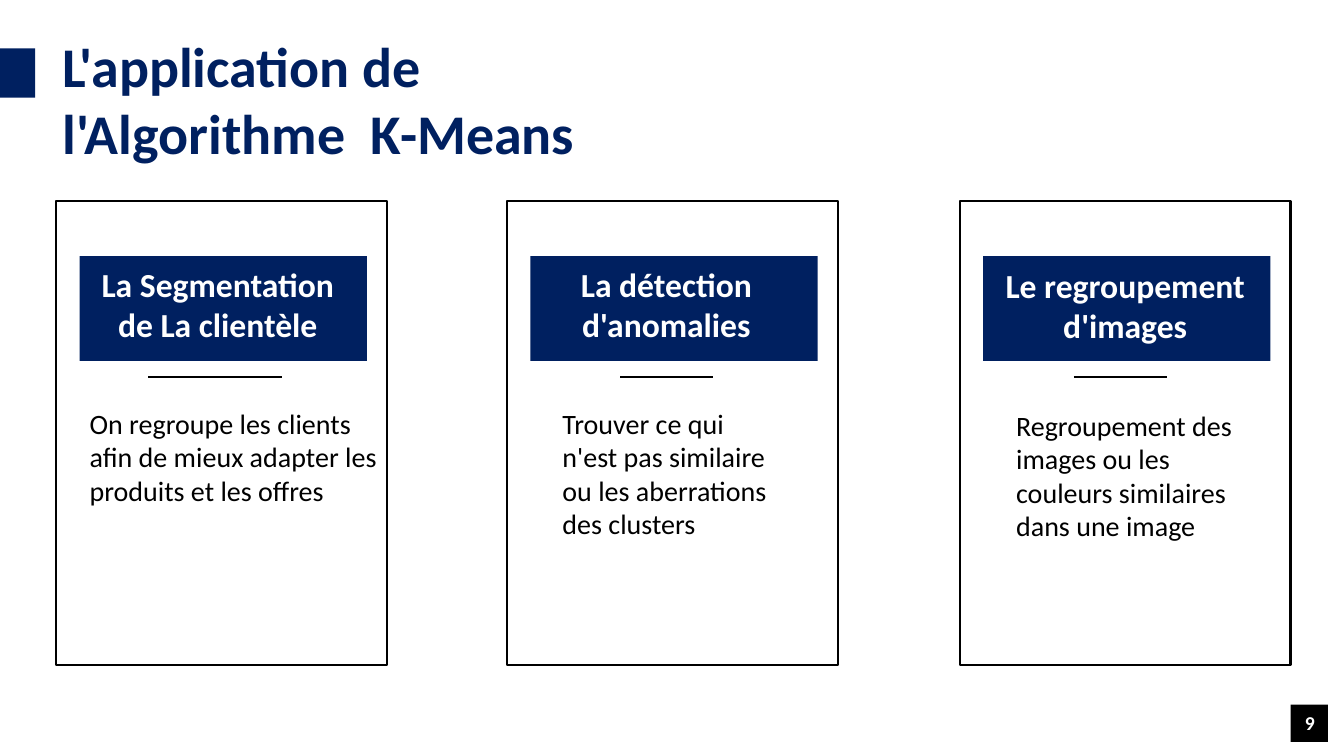
import pptx
import pptx.dml.color
import pptx.enum.shapes
import pptx.enum.text
import pptx.util
from lxml import etree
from pptx.util import Inches

NAVY = pptx.dml.color.RGBColor(0x00, 0x20, 0x60)
BLACK = pptx.dml.color.RGBColor(0, 0, 0)
WHITE = pptx.dml.color.RGBColor(255, 255, 255)
ALIGN = pptx.enum.text.PP_ALIGN
ANCHOR = pptx.enum.text.MSO_ANCHOR
DRAWING = "http://schemas.openxmlformats.org/drawingml/2006/main"

CARD_TOP, CARD_WIDTH, CARD_HEIGHT = 1.99, 3.28, 4.61
BANNER_INSET, BANNER_TOP, BANNER_WIDTH, BANNER_HEIGHT = 0.23, 2.54, 2.85, 1.04
RULE_TOP = 3.74
LINE_WIDTH = 1.5

# card left, heading, heading (left, top, width), body, body (left, top, width), rule (start, end)
CARDS = [
    (0.56, "La Segmentation de La clientèle", (0.79, 2.56, 2.74),
     "On regroupe les clients afin de mieux adapter les produits et les offres",
     (0.79, 3.98, 3.05), (1.47, 2.8)),
    (5.03, "La détection d'anomalies", (5.23, 2.56, 2.76),
     "Trouver ce qui n'est pas similaire ou les aberrations des clusters",
     (5.48, 3.98, 2.38), (6.15, 7.07)),
    (9.52, "Le regroupement d'images", (9.84, 2.57, 2.64),
     "Regroupement des images ou les couleurs similaires dans une image",
     (9.98, 4, 2.67), (10.65, 11.57)),
]


def apply_format(target, values):
    for name, value in values.items():
        setattr(target, name, value)


class SlideBuilder:
    font_name = "Calibri"

    def __init__(self, page):
        self.page = page
        self.shapes = page.shapes

    def fill_text(self, box, text, size, color, bold=False, align=ALIGN.LEFT, anchor=ANCHOR.TOP):
        apply_format(box.text_frame, {
            "word_wrap": True,
            "vertical_anchor": anchor,
            "auto_size": pptx.enum.text.MSO_AUTO_SIZE.NONE,
        })
        para = box.text_frame.paragraphs[0]
        para.alignment = align
        span = para.add_run()
        span.text = text
        apply_format(span.font, {"name": self.font_name, "size": pptx.util.Pt(size), "bold": bold})
        span.font.color.rgb = color
        return para

    def title(self, text, left, top, width, height):
        box = self.page.shapes.title
        apply_format(box, {"left": Inches(left), "top": Inches(top),
                           "width": Inches(width), "height": Inches(height)})
        para = self.fill_text(box, text, 40, NAVY, bold=True)
        para._p.get_or_add_pPr().set("marL", str(Inches(0.08)))

    def text(self, text, left, top, width, height, **style):
        box = self.shapes.add_textbox(*map(Inches, (left, top, width, height)))
        self.fill_text(box, text, **style)

    def rectangle(self, left, top, width, height, fill=None):
        """Draw a filled block, or a black outline when no fill is given."""
        box = self.shapes.add_shape(pptx.enum.shapes.MSO_SHAPE.RECTANGLE,
                                    *map(Inches, (left, top, width, height)))
        box.shadow.inherit = False
        if fill is None:
            box.fill.background()
            box.line.color.rgb = BLACK
            box.line.width = pptx.util.Pt(LINE_WIDTH)
        else:
            box.fill.solid()
            box.fill.fore_color.rgb = fill
            box.line.fill.background()

    def rule(self, start, end, top):
        line = self.shapes.add_connector(pptx.enum.shapes.MSO_CONNECTOR.STRAIGHT,
                                         *map(Inches, (start, top, end, top)))
        line.line.color.rgb = BLACK
        line.line.width = pptx.util.Pt(LINE_WIDTH)
        etree.SubElement(line._element.spPr, f"{{{DRAWING}}}effectLst")

    def card(self, left, heading, heading_place, body, body_place, rule_span):
        self.shapes = self.page.shapes.add_group_shape().shapes
        self.rectangle(left, CARD_TOP, CARD_WIDTH, CARD_HEIGHT)
        self.rectangle(left + BANNER_INSET, BANNER_TOP, BANNER_WIDTH, BANNER_HEIGHT, NAVY)
        self.text(heading, *heading_place, 0.91, size=24, color=WHITE, bold=True,
                  align=ALIGN.CENTER, anchor=ANCHOR.MIDDLE)
        body_height = CARD_TOP + CARD_HEIGHT - body_place[1]
        self.text(body, *body_place, body_height, size=20, color=BLACK)
        self.rule(*rule_span, RULE_TOP)
        self.shapes = self.page.shapes

    def page_number(self, number):
        self.rectangle(12.8, 6.99, 0.37, 0.37, BLACK)
        self.text(number, 12.83, 6.97, 0.31, 0.4, size=14, color=WHITE, bold=True,
                  align=ALIGN.RIGHT, anchor=ANCHOR.MIDDLE)


def main():
    deck = pptx.Presentation()
    deck.slide_width, deck.slide_height = Inches(13.33), Inches(7.5)
    title_only = deck.slide_layouts[5]
    builder = SlideBuilder(deck.slides.add_slide(title_only))

    builder.title("L'application de l'Algorithme  K-Means", 0.44, 0.26, 6.49, 1.45)
    builder.rectangle(0, 0.48, 0.35, 0.49, NAVY)
    for card in CARDS:
        builder.card(*card)
    builder.page_number("9")
    deck.save("out.pptx")


if __name__ == "__main__":
    main()
